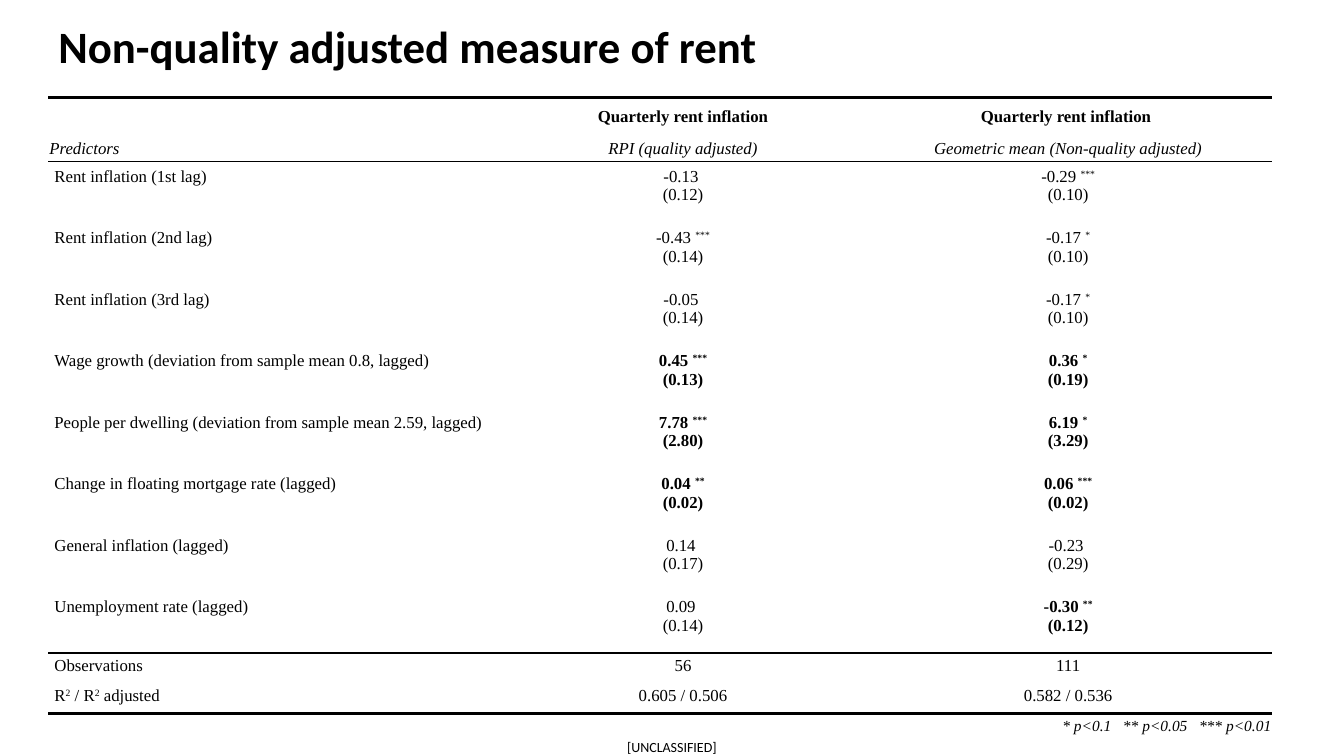
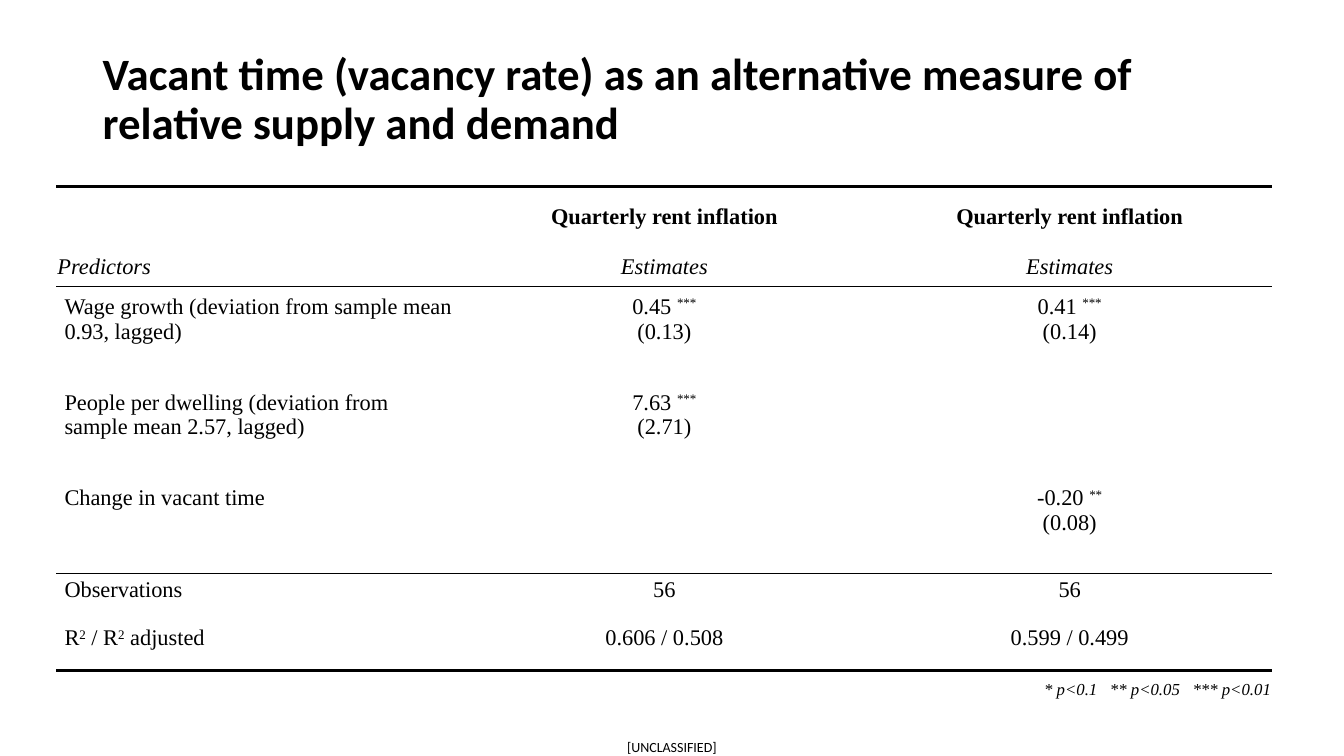
from lxml import etree
from pptx import Presentation
from pptx.dml.color import RGBColor
from pptx.enum import text as tx
from pptx.oxml import ns
from pptx.util import Inches, Pt

COLORS = {"ink": "000000"}
SANS, SERIF = "Calibri", "Times New Roman"
THICK, THIN = 2.25, 1
LEFT, MID, RIGHT = tx.PP_ALIGN.LEFT, tx.PP_ALIGN.CENTER, tx.PP_ALIGN.RIGHT
NOTE = "* p<0.1   ** p<0.05   *** p<0.01"
FIT = "R^2^ / R^2^ adjusted"


def style(item, **values):
    for name, value in values.items():
        setattr(item, name, value)


def ink(font, **values):
    style(font, **values)
    font.color.rgb = RGBColor.from_string(COLORS["ink"])


# Text boxes
def label(slide, box, words, size, pad=(0, 0), **look):
    shape = slide.shapes.add_textbox(*map(Inches, box))
    frame = shape.text_frame
    side, edge = map(Inches, pad)
    style(frame, word_wrap=True, vertical_anchor=tx.MSO_ANCHOR.MIDDLE,
          margin_left=side, margin_right=side,
          margin_top=edge, margin_bottom=edge)
    par = frame.paragraphs[0]
    run = par.add_run()
    run.text = words
    ink(run.font, name=SANS, size=Pt(size), **look)
    return par


def title(slide, box, words):
    label(slide, box, words, 32, (0.1, 0.05), bold=True).line_spacing = 0.9


def footer(slide):
    label(slide, (6.22, 7.33, 0.93, 0.17), "[UNCLASSIFIED]", 10)


# Table cells
def est(value, error, stars="", bold=False):
    mark = f"^{stars}^" if stars else ""
    return f"{value} {mark}\n({error})", bold


def write(par, words, size, **look):
    """Text between carets is raised."""
    units = str(size * 100)
    for row, line in enumerate(words.split("\n")):
        if row:
            par.add_line_break()
            gap = par._p.findall(ns.qn("a:br"))[-1]
            etree.SubElement(gap, ns.qn("a:rPr"), sz=units)
        for turn, part in enumerate(line.split("^")):
            if not part:
                continue
            run = par.add_run()
            run.text = part
            ink(run.font, name=SERIF, size=Pt(size), **look)
            if turn % 2:
                run._r.get_or_add_rPr().set("baseline", "30000")
    if not words:
        etree.SubElement(par._p, ns.qn("a:endParaRPr"), sz=units)


def border(cell, top, base):
    props = cell._tc.get_or_add_tcPr()
    for side, width in (("L", 0), ("R", 0), ("T", top), ("B", base)):
        line = etree.SubElement(props, ns.qn(f"a:ln{side}"),
                                w=str(int(Pt(width))))
        if width:
            fill = etree.SubElement(line, ns.qn("a:solidFill"))
            etree.SubElement(fill, ns.qn("a:srgbClr"), val=COLORS["ink"])
        else:
            etree.SubElement(line, ns.qn("a:noFill"))
    cell.fill.background()


def table(slide, spot, cols, rows, data, size, small, pad):
    count = len(data)
    last = count - 1
    rules = {0: THICK, 2: THIN, last - 2: THIN, last: THICK}
    grid = slide.shapes.add_table(
        count, len(cols), *map(Inches, (*spot, sum(cols), sum(rows)))).table
    style(grid, first_row=False, horz_banding=False)
    for col, width in zip(grid.columns, cols):
        col.width = Inches(width)
    for row, height in zip(grid.rows, rows):
        row.height = Inches(height)
    for r, line in enumerate(data):
        head, note = r < 2, r == last
        tight = r == 1 or note
        side = 0.01 if tight else pad
        edge = pad / 2 if last - 3 < r < last else side
        for c, item in enumerate(line):
            words, bold = item if isinstance(item, tuple) else (item, r == 0)
            cell = grid.cell(r, c)
            style(cell, margin_left=Inches(side), margin_right=Inches(side),
                  margin_top=Inches(edge), margin_bottom=Inches(edge),
                  vertical_anchor=tx.MSO_ANCHOR.MIDDLE if head or note
                  else tx.MSO_ANCHOR.TOP)
            par = cell.text_frame.paragraphs[0]
            par.alignment = RIGHT if note else MID if c else LEFT
            write(par, words, small if note else size, bold=bold, italic=tight)
            border(cell, rules.get(r, 0), rules.get(r + 1, 0))
    grid.cell(last, 0).merge(grid.cell(last, len(cols) - 1))


# Slides
def rent(slide):
    footer(slide)
    data = [
        ("", "Quarterly rent inflation", "Quarterly rent inflation "),
        ("Predictors", "RPI (quality adjusted)",
         "Geometric mean (Non-quality adjusted)"),
        ("Rent inflation (1st lag)",
         est("-0.13", "0.12"), est("-0.29", "0.10", "***")),
        ("Rent inflation (2nd lag)",
         est("-0.43", "0.14", "***"), est("-0.17", "0.10", "*")),
        ("Rent inflation (3rd lag)",
         est("-0.05", "0.14"), est("-0.17", "0.10", "*")),
        ("Wage growth (deviation from sample mean 0.8, lagged)",
         est("0.45", "0.13", "***", True), est("0.36", "0.19", "*", True)),
        ("People per dwelling (deviation from sample mean 2.59, lagged)",
         est("7.78", "2.80", "***", True), est("6.19", "3.29", "*", True)),
        ("Change in floating mortgage rate (lagged)",
         est("0.04", "0.02", "**", True), est("0.06", "0.02", "***", True)),
        ("General inflation (lagged)",
         est("0.14", "0.17"), est("-0.23", "0.29")),
        ("Unemployment rate (lagged)",
         est("0.09", "0.14"), est("-0.30", "0.12", "**", True)),
        ("Observations", "56", "111"),
        (FIT, "0.605 / 0.506", "0.582 / 0.536"),
        (NOTE, "", ""),
    ]
    rows = [0.38, 0.25] + [0.61] * 8 + [0.3, 0.3, 0.25]
    table(slide, (0.48, 0.97), (4.5, 3.59, 4.05), rows, data, 12, 11, 0.06)
    title(slide, (0.48, 0, 11.5, 0.97), "Non-quality adjusted measure of rent")


def vacant(slide):
    footer(slide)
    title(slide, (0.92, 0.27, 11.5, 1.45),
          "Vacant time (vacancy rate) as an alternative measure of "
          "relative supply and demand")
    data = [
        ("", "Quarterly rent inflation", "Quarterly rent inflation"),
        ("Predictors", "Estimates", "Estimates"),
        ("Wage growth (deviation from sample mean 0.93, lagged)",
         est("0.45", "0.13", "***"), est("0.41", "0.14", "***")),
        ("People per dwelling (deviation from sample mean 2.57, lagged)",
         est("7.63", "2.71", "***"), ""),
        ("Change in vacant time", "", est("-0.20", "0.08", "**")),
        ("Observations", "56", "56"),
        (FIT, "0.606 / 0.508", "0.599 / 0.499"),
        (NOTE, "", ""),
    ]
    rows = [0.61, 0.38] + [0.95] * 3 + [0.48, 0.48, 0.38]
    table(slide, (0.56, 1.85), [4.02] * 3, rows, data, 16, 12, 0.08)


def main():
    deck = Presentation()
    style(deck, slide_width=Inches(13.33), slide_height=Inches(7.5))
    for build in (rent, vacant):
        build(deck.slides.add_slide(deck.slide_layouts[6]))
    deck.save("out.pptx")


if __name__ == "__main__":
    main()
